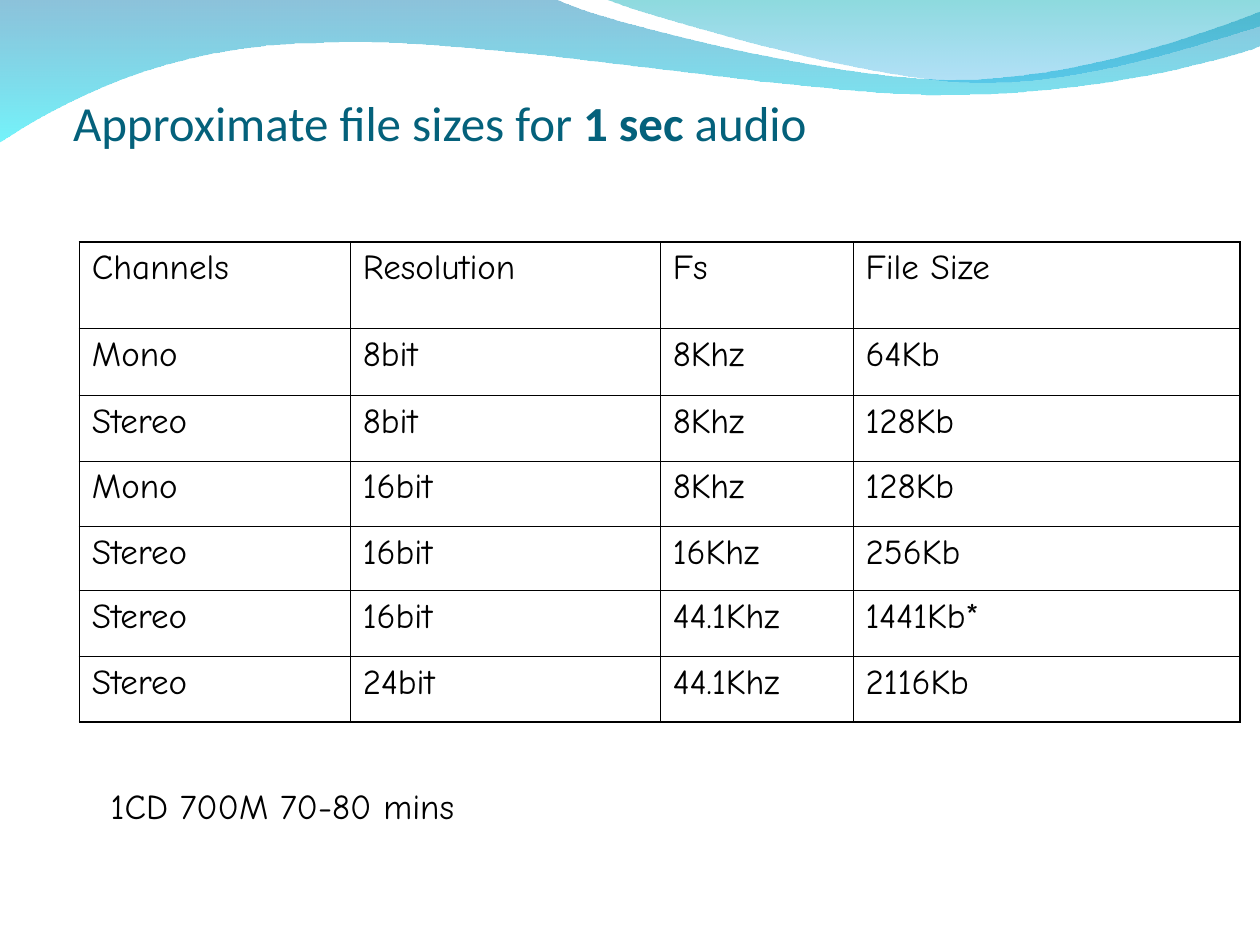
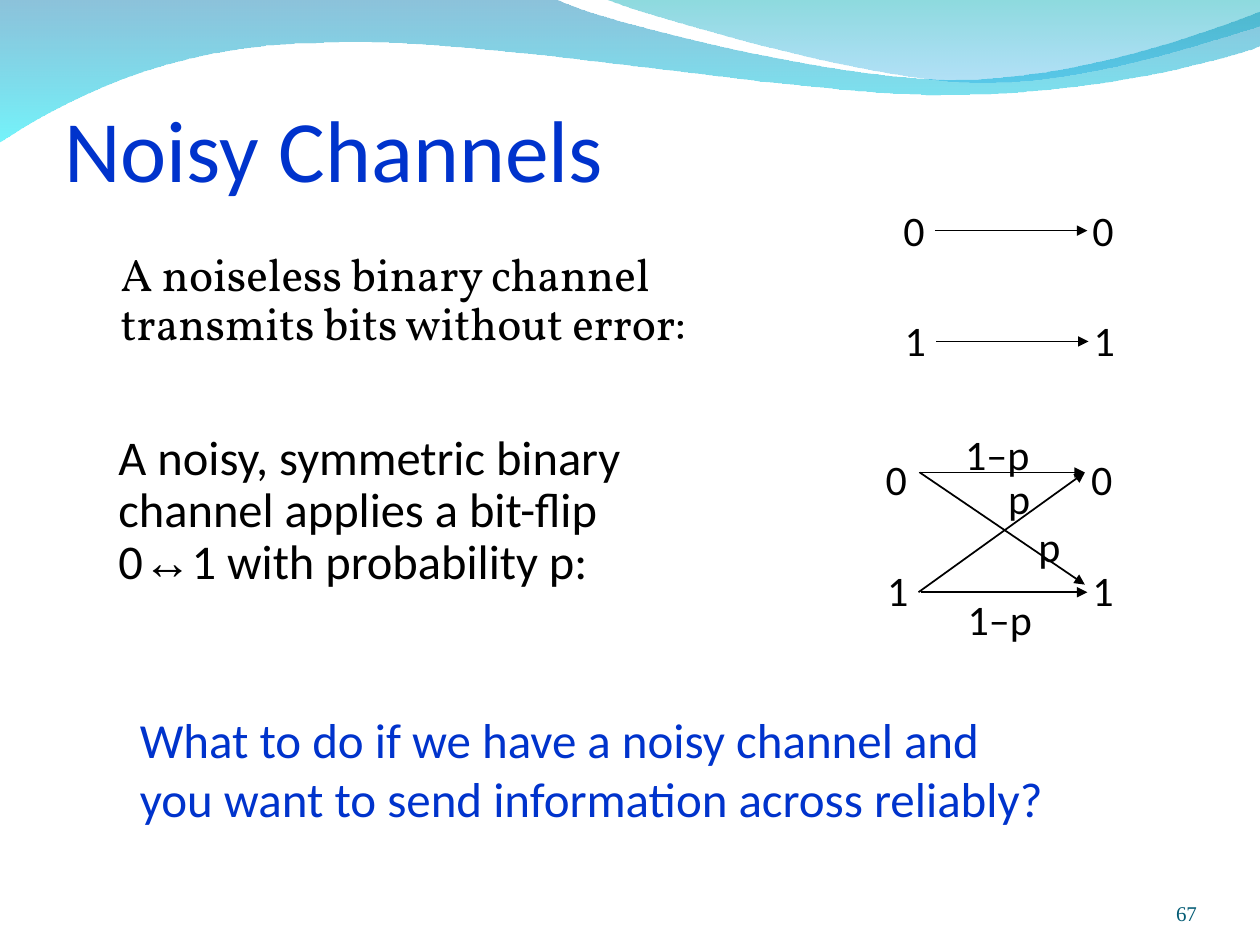
from dataclasses import dataclass

from lxml.etree import SubElement
from pptx import Presentation
from pptx.dml.color import RGBColor
from pptx.enum.shapes import MSO_CONNECTOR as CONN
from pptx.enum.text import MSO_ANCHOR as ANCHOR, MSO_AUTO_SIZE as FIT, PP_ALIGN as ALIGN
from pptx.oxml.ns import qn
from pptx.util import Pt

SCALE = 9144


@dataclass(frozen=True)
class Theme:
    """Colours, fonts and type sizes as (font, size, colour) styles."""
    black: str = "000000"
    title: tuple = ("Calibri", 28, "04617B")
    big_title: tuple = ("Calibri", 50, "0033CC")
    table: tuple = ("Comic Neue", 20, "000000")
    serif: tuple = ("Vollkorn", 26, "000000")
    body: tuple = ("Calibri", 27.7, "000000")
    symbol: tuple = ("Arial", 27.7, "000000")
    diagram: tuple = ("Calibri", 24, "000000")
    question: tuple = ("Calibri", 28, "0033CC")
    number: tuple = ("Times New Roman", 12, "045C75")
    outer_line: float = 1.08
    inner_line: float = 0.45
    arrow_line: float = 1
    wave: tuple = (("0079AF", 45), ("00EBF8", 55))
    crest: tuple = (("00ADB6", 45), ("009BE5", 30))


THEME = Theme()
WAVE = [[(0, -1)], [(440, -1)],
        [(476, 17), (664, 63), (758, 63)], [(853, 63), (958, 26), (1000, 9)],
        [(1001, 36)],
        [(983, 44), (870, 76), (746, 75)], [(622, 75), (382, 28), (257, 34)],
        [(129, 35), (46, 83), (-1, 113)]]
CREST = [[(479, -1)], [(509, 11), (682, 62), (769, 65)],
         [(856, 69), (961, 32), (1000, 21)], [(1000, 0)]]
FILE_SIZES = [
    ("Channels", "Resolution", "Fs", "File Size"),
    ("Mono", "8bit", "8Khz", "64Kb"),
    ("Stereo", "8bit", "8Khz", "128Kb"),
    ("Mono", "16bit", "8Khz", "128Kb"),
    ("Stereo", "16bit", "16Khz", "256Kb"),
    ("Stereo", "16bit", "44.1Khz", "1441Kb*"),
    ("Stereo", "24bit", "44.1Khz", "2116Kb"),
]


def px(*values):
    """Turn px lengths into EMU."""
    return [round(v * SCALE) for v in values]


def set_all(obj, **fmt):
    """Set every attribute named in fmt on obj."""
    for name, value in fmt.items():
        setattr(obj, name, value)


def add_run(p, text, style, bold=False):
    """Add a run in a theme style, breaking lines at newlines."""
    font, size, colour = style
    for i, line in enumerate(text.split("\n")):
        if i:
            p.add_line_break()
        r = p.add_run()
        r.text = line
        set_all(r.font, name=font, size=Pt(size), bold=bold)
        r.font.color.rgb = RGBColor.from_string(colour)


def add_text(slide, box, runs, insets=(0, 0, 0, 0), para=None, **frame):
    """Add a text box holding one paragraph of (text, style[, bold]) runs."""
    tf = slide.shapes.add_textbox(*px(*box)).text_frame
    sides = ("margin_left", "margin_top", "margin_right", "margin_bottom")
    set_all(tf, **dict(zip(sides, px(*insets))))
    set_all(tf, **{"word_wrap": True, **frame})
    p = tf.paragraphs[0]
    set_all(p, **(para or {}))
    for run in runs:
        add_run(p, *run)


def add_label(slide, box, text, style=THEME.diagram):
    """Add an unwrapped label that fits its text."""
    add_text(slide, box, [(text, style)], word_wrap=False, auto_size=FIT.SHAPE_TO_FIT_TEXT)


def add_title(slide, box, runs):
    """Add a title resting on the bottom of its box."""
    add_text(slide, box, runs, (0, 5, 0, 0), vertical_anchor=ANCHOR.BOTTOM)


def bend(sp, segments):
    """Turn each run of three line points into one cubic curve."""
    lines = iter(list(sp._element.iter(qn("a:lnTo"))))
    for seg in segments:
        parts = [next(lines) for _ in seg]
        if len(parts) == 3:
            curve = parts[0].makeelement(qn("a:cubicBezTo"))
            parts[0].addprevious(curve)
            for part in parts:
                curve.append(part[0])
                part.getparent().remove(part)


def add_wave(slide, outline, stops):
    """Draw an outline of lines and curves with a translucent vertical gradient."""
    start, *points = [px(*point) for seg in outline for point in seg]
    builder = slide.shapes.build_freeform(*start, scale=1.0)
    builder.add_line_segments(points, close=True)
    sp = builder.convert_to_shape()
    bend(sp, outline[1:])
    sp.shadow.inherit = False
    sp.line.fill.background()
    sp.fill.gradient()
    sp.fill.gradient_angle = 270
    for stop, (colour, _) in zip(sp.fill.gradient_stops, stops):
        stop.color.rgb = RGBColor.from_string(colour)
    for clr, (_, opacity) in zip(sp._element.iter(qn("a:srgbClr")), stops):
        SubElement(clr, qn("a:alpha")).set("val", str(opacity * 1000))


def add_slide(prs):
    """Add a blank slide with the wave band on top."""
    slide = prs.slides.add_slide(prs.slide_layouts[6])
    add_wave(slide, WAVE, THEME.wave)
    add_wave(slide, CREST, THEME.crest)
    return slide


def add_arrow(slide, x1, y1, x2, y2):
    """Add a thin black arrow."""
    line = slide.shapes.add_connector(CONN.STRAIGHT, *px(x1, y1, x2, y2)).line
    line.width = Pt(THEME.arrow_line)
    line.color.rgb = RGBColor.from_string(THEME.black)
    ln = line._get_or_add_ln()
    SubElement(ln, qn("a:tailEnd")).set("type", "triangle")
    SubElement(ln.getparent(), qn("a:effectLst"))


def set_borders(cell, outer):
    """Give a cell black borders, heavier on the outer sides."""
    tcPr = cell._tc.get_or_add_tcPr()
    for side in "LRTB":
        width = THEME.outer_line if side in outer else THEME.inner_line
        ln = SubElement(tcPr, qn(f"a:ln{side}"), w=str(Pt(width)))
        SubElement(SubElement(ln, qn("a:solidFill")), qn("a:srgbClr"), val=THEME.black)


def add_size_table(slide, box, widths, heights):
    """Add the table of file sizes."""
    n_rows, n_cols = len(heights), len(widths)
    table = slide.shapes.add_table(n_rows, n_cols, *px(*box)).table
    set_all(table, first_row=False, horz_banding=False)
    for col, width in zip(table.columns, px(*widths)):
        col.width = width
    for row, height in zip(table.rows, px(*heights)):
        row.height = height
    for i, record in enumerate(FILE_SIZES):
        for j, text in enumerate(record):
            cell = table.cell(i, j)
            edges = {"L": j == 0, "R": j == n_cols - 1, "T": i == 0, "B": i == n_rows - 1}
            set_borders(cell, [side for side, on in edges.items() if on])
            cell.fill.background()
            add_run(cell.text_frame.paragraphs[0], text, THEME.table)


def add_channel(slide, box, arrows, labels=()):
    """Draw bits 0 and 1 sent from left to right, with arrows and labels."""
    x, y, gap, pitch = box
    for row, bit in enumerate("01"):
        for left in (x, x + gap):
            add_label(slide, (left + row, y + row * pitch, 17, 40), bit)
    for x1, y1, x2, y2 in arrows:
        add_arrow(slide, x + x1, y + y1, x + x2, y + y2)
    for dx, dy, width, text in labels:
        add_label(slide, (x + dx, y + dy, width, 40), text)


def file_size_slide(prs):
    """Build the slide on audio file sizes."""
    slide = add_slide(prs)
    add_title(slide, (58, 48, 850, 72), [("Approximate file sizes for ", THEME.title),
                                         ("1 sec", THEME.title, True),
                                         (" audio", THEME.title)])
    add_size_table(slide, (63, 192, 921, 381), (215, 246, 153, 307),
                   (69, 53, 52, 52, 51, 52, 52))
    add_text(slide, (78, 618, 485, 94), [("1CD 700M 70-80 mins", THEME.table)], (10, 5, 10, 5))


def noisy_channel_slide(prs):
    """Build the slide on noiseless and noisy channels."""
    slide = add_slide(prs)
    add_title(slide, (51, 34, 900, 125), [("Noisy Channels", THEME.big_title)])
    add_text(slide, (86, 195, 621, 96),
             [("A noiseless binary channel \ntransmits bits without error:", THEME.serif)],
             (10, 5, 10, 5), {"line_spacing": 0.9})
    add_channel(slide, (717, 162, 150, 88), [(25, 21, 146, 21), (26, 109, 147, 109)])
    add_text(slide, (94, 344, 535, 148),
             [("A noisy, symmetric binary \nchannel applies a bit-flip \n0", THEME.body),
              ("↔", THEME.symbol), ("1 with probability p:", THEME.body)],
             para={"line_spacing": 0.9})
    add_channel(slide, (703, 360, 163, 88),
                [(27, 15, 158, 104), (28, 110, 160, 110), (26, 110, 158, 15), (26, 15, 158, 15)],
                [(63, -20, 51, "1–p"), (65, 111, 51, "1–p"), (97, 15, 18, "p"),
                 (121, 53, 18, "p")])
    add_label(slide, (111, 563, 721, 93),
              "What to do if we have a noisy channel and \n"
              "you want to send information across reliably?", THEME.question)
    add_text(slide, (867, 695, 83, 40), [("67", THEME.number)],
             para={"alignment": ALIGN.RIGHT}, vertical_anchor=ANCHOR.BOTTOM)


def main():
    """Build and save the presentation."""
    prs = Presentation()
    prs.slide_width, prs.slide_height = px(1000, 750)
    file_size_slide(prs)
    noisy_channel_slide(prs)
    prs.save("out.pptx")


if __name__ == "__main__":
    main()
